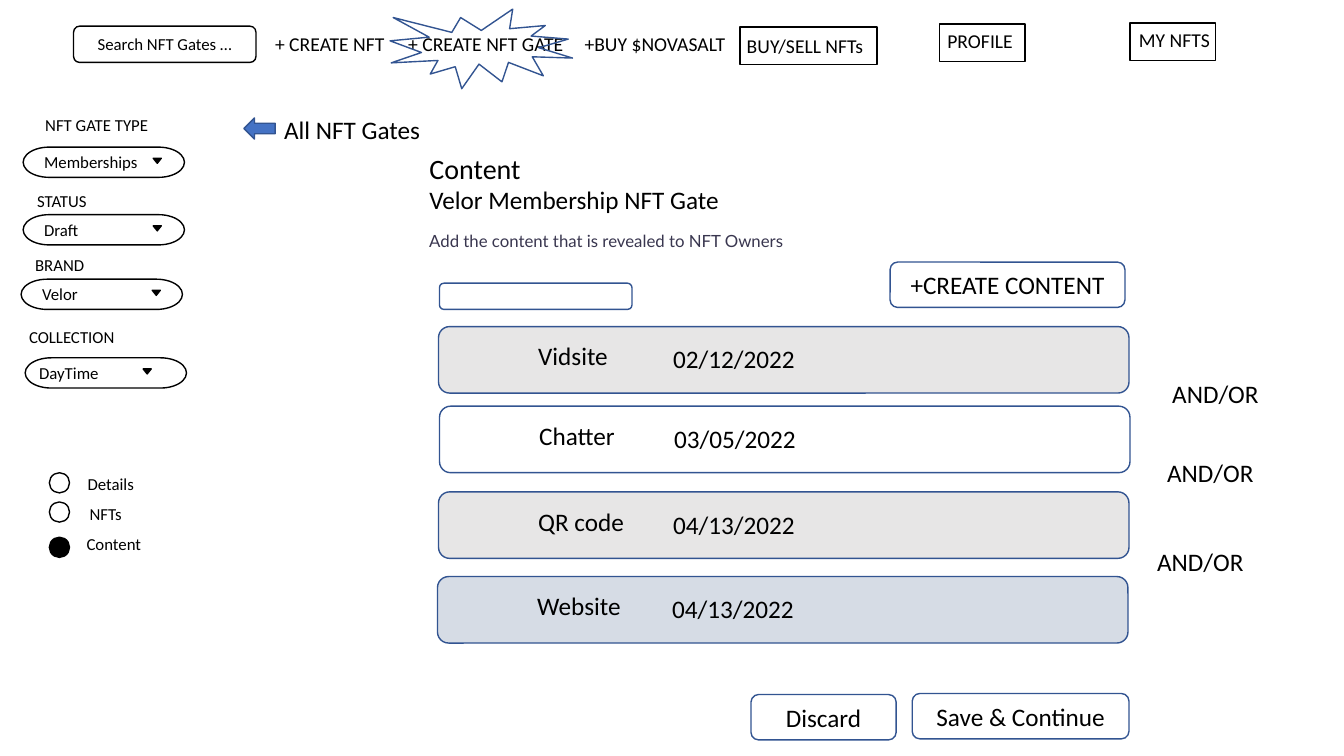
"""Build the wireframe slide for the content step of an NFT gate."""
from pptx import Presentation
from pptx.dml.color import RGBColor
from pptx.enum.shapes import MSO_SHAPE
from pptx.enum.text import MSO_ANCHOR, MSO_AUTO_SIZE, PP_ALIGN
from pptx.util import Inches, Pt

BLACK, BLUE, GREY = "000000", "325491", "E7E6E6"
COLUMNS, ROWS = 133.33, 75

deck = Presentation()
deck.slide_width, deck.slide_height = Inches(13.33), Inches(7.5)
column, row = deck.slide_width / COLUMNS, deck.slide_height / ROWS
page = deck.slides.add_slide(deck.slide_layouts[5])


def paint(target, color):
    """Give a fill or line format a solid colour, or none."""
    if color:
        target.solid()
        target.fore_color.rgb = RGBColor.from_string(color)
    else:
        target.background()


def put(text, left, top, width, height, kind=None, holder=None, fill=None, line=BLACK,
        size=12, font="Calibri", color=BLACK, wrap=False):
    """Place a text box, preset shape or placeholder on the grid and format it."""
    place = [round(left * column), round(top * row), round(width * column), round(height * row)]
    if kind:
        box = page.shapes.add_shape(kind, *place)
        box.shadow.inherit = False
        paint(box.fill, fill)
        paint(box.line.fill, line)
        box.line.width = Pt(1)
    else:
        box = holder or page.shapes.add_textbox(*place)
        box.left, box.top, box.width, box.height = place
    if text:
        frame = box.text_frame
        frame.word_wrap = bool(kind) or wrap
        frame.auto_size = MSO_AUTO_SIZE.NONE if kind else MSO_AUTO_SIZE.SHAPE_TO_FIT_TEXT
        frame.vertical_anchor = MSO_ANCHOR.MIDDLE if kind else MSO_ANCHOR.TOP
        para = frame.paragraphs[0]
        para.alignment = PP_ALIGN.CENTER if kind else PP_ALIGN.LEFT
        span = para.add_run()
        span.text = text
        span.font.size, span.font.name = Pt(size), font
        span.font.color.rgb = RGBColor.from_string(color)
    return box


put("Content", 41.6, 14.5, 11.1, 4.4, holder=page.shapes.title, size=20)
put("Velor Membership NFT Gate", 41.6, 17.8, 58.9, 4, size=18, wrap=True)
put("Add the content that is revealed to NFT Owners", 41.6, 22.4, 54.4, 3,
    font="Lato", color="39364F", wrap=True)

for text, left, top, width in [
    ("+ CREATE NFT", 26.3, 2.7, 13),
    ("+ CREATE NFT GATE", 39.5, 2.7, 17.6),
    ("+BUY $NOVASALT", 57, 2.7, 16),
    ("BUY/SELL NFTs", 73.1, 2.9, 13.6),
    ("PROFILE", 93, 2.4, 8.6),
    ("MY NFTS", 112, 2.3, 9.1),
]:
    put(text, left, top, width, 3.4, size=14)
for left, top, width in [(73.4, 2.7, 13.6), (93.2, 2.4, 8.5), (112.1, 2.3, 8.5)]:
    put("", left, top, width, 3.7, MSO_SHAPE.RECTANGLE)
put("Search NFT Gates …", 7.3, 2.6, 18.1, 3.6, MSO_SHAPE.ROUNDED_RECTANGLE)
put("", 38.7, 0.9, 18.1, 7.9, MSO_SHAPE.EXPLOSION1, line=BLUE)

for heading, heading_left, heading_top, heading_width, choice, choice_left, left, top, arrow_left in [
    ("NFT GATE TYPE", 3.5, 10.9, 12.4, "Memberships", 3.4, 2.3, 14.6, 15.2),
    ("STATUS", 2.7, 18.4, 7, "Draft", 3.4, 2.3, 21.3, 15.2),
    ("BRAND", 2.5, 24.8, 6.9, "Velor", 3.2, 2.1, 27.7, 15.1),
    ("COLLECTION", 1.9, 31.9, 10.6, "DayTime", 2.9, 2.5, 35.5, 14.2),
]:
    put(heading, heading_left, heading_top, heading_width, 3)
    put("", left, top, 16, 3, MSO_SHAPE.FLOWCHART_TERMINATOR)
    put(choice, choice_left, top, 14.5, 3, wrap=True)
    arrow = put("", arrow_left, top + 1.1, 0.8, 0.5, MSO_SHAPE.ISOSCELES_TRIANGLE, fill=BLACK)
    arrow.rotation = 180

for step, left, top, width, dot_top, fill in [
    ("Details", 7.7, 46.5, 6.7, 46.9, None),
    ("NFTs", 7.9, 49.5, 5.2, 49.8, None),
    ("Content", 7.6, 52.5, 7.5, 53.3, BLACK),
]:
    put("", 4.9, dot_top, 2, 2, MSO_SHAPE.OVAL, fill=fill)
    put(step, left, top, width, 3)

put("", 24.2, 11.7, 3.1, 2.1, MSO_SHAPE.LEFT_ARROW, fill="4472C4", line=BLUE)
put("All NFT Gates", 27.2, 10.8, 17.5, 4.1, size=18, wrap=True)

for name, date, left, top, fill in [
    ("Vidsite", "02/12/2022", 43.5, 32.4, GREY),
    ("Chatter", "03/05/2022", 43.6, 40.3, None),
    ("QR code", "04/13/2022", 43.5, 48.8, GREY),
    ("Website", "04/13/2022", 43.4, 57.2, "D6DCE5"),
]:
    put("", left, top, 68.5, 6.6, MSO_SHAPE.ROUNDED_RECTANGLE, fill=fill, line=BLUE)
    put(name, left + 8.9, top + 0.9, 25.3, 4, size=18, wrap=True)
    put(date, left + 22.3, top + 1.2, 25.3, 4, size=18, wrap=True)

for left, top in [(115.3, 37), (114.8, 44.9), (113.8, 53.7)]:
    put("AND/OR", left, top, 10.7, 4, size=18)

for text, left, top, width, height in [
    ("", 43.6, 28.1, 19.1, 2.6),
    ("+CREATE CONTENT", 88.3, 26, 23.3, 4.5),
    ("Discard", 74.5, 68.9, 14.4, 4.5),
    ("Save & Continue", 90.5, 68.8, 21.5, 4.5),
]:
    put(text, left, top, width, height, MSO_SHAPE.ROUNDED_RECTANGLE, line=BLUE, size=18)

deck.save("out.pptx")
